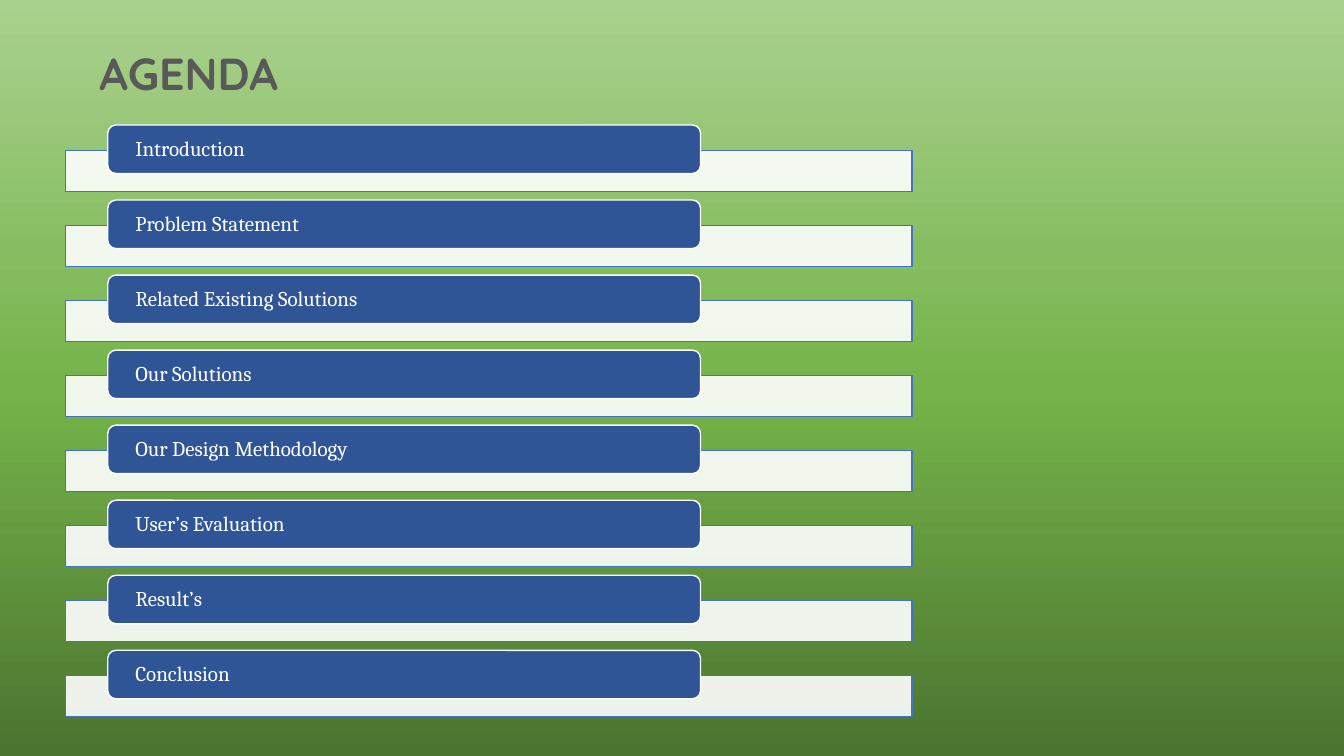
from lxml import etree
from pptx import Presentation
from pptx import util as u
from pptx.dml import color
from pptx.enum import shapes, text
from pptx.oxml import ns

Pt = u.Pt
WHITE = color.RGBColor(0xFF, 0xFF, 0xFF)
GREY = color.RGBColor(0x59, 0x59, 0x59)
NAVY = color.RGBColor(0x2F, 0x55, 0x97)
BLUE = color.RGBColor(0x44, 0x72, 0xC4)
DARK_GREEN = color.RGBColor(0x4B, 0x74, 0x30)
MID_GREEN = color.RGBColor(0x74, 0xB3, 0x49)
PALE_GREEN = color.RGBColor(0xA9, 0xD1, 0x8E)

BACKGROUND = [(0, DARK_GREEN), (48, MID_GREEN), (100, PALE_GREEN)]
TITLE_FONT = {"name": "Quicksand", "size": Pt(32), "bold": True}
ITEM_FONT = {"name": "Cambria", "size": Pt(15)}
TITLE_FRAME = {"word_wrap": True, "auto_size": text.MSO_AUTO_SIZE.SHAPE_TO_FIT_TEXT}
ITEM_FRAME = {
    "word_wrap": True,
    "vertical_anchor": text.MSO_ANCHOR.MIDDLE,
    "margin_left": Pt(18),
    "margin_right": Pt(18),
    "margin_top": 0,
    "margin_bottom": 0,
}
ITEMS = [
    "Introduction",
    "Problem Statement",
    "Related Existing Solutions",
    "Our Solutions",
    "Our Design Methodology",
    "User’s Evaluation",
    "Result’s",
    "Conclusion",
]
FIRST_TOP = 89.3
PITCH = 53.6
BAR_DROP = 18


def set_attributes(target, values):
    for name, value in values.items():
        setattr(target, name, value)


def add_color(parent, rgb):
    return etree.SubElement(parent, ns.qn("a:srgbClr"), val=str(rgb))


def set_background(s, stops):
    fill = s.background.fill
    fill.gradient()
    fill.gradient_angle = 90
    gradient = next(s.element.iter(ns.qn("a:gsLst")))
    for stop in list(gradient):
        gradient.remove(stop)
    for percent, rgb in stops:
        stop = etree.SubElement(gradient, ns.qn("a:gs"), pos=str(percent * 1000))
        add_color(stop, rgb)


def write(sp, words, frame, font, rgb, spacing):
    tf = sp.text_frame
    set_attributes(tf, frame)
    p = tf.paragraphs[0]
    set_attributes(p, {"alignment": text.PP_ALIGN.LEFT, "line_spacing": spacing})
    r = p.add_run()
    r.text = words
    set_attributes(r.font, font)
    r.font.color.rgb = rgb


def add_box(s, kind, box, fill, line):
    sp = s.shapes.add_shape(kind, *map(Pt, box))
    sp.shadow.inherit = False
    sp.fill.solid()
    sp.fill.fore_color.rgb = fill
    sp.line.color.rgb = line
    sp.line.width = Pt(1)
    return sp


def add_bar(s, top):
    sp = add_box(s, shapes.MSO_SHAPE.RECTANGLE, (46.8, top, 604.8, 29.5), WHITE, BLUE)
    rgb = next(sp.element.spPr.iter(ns.qn("a:srgbClr")))
    etree.SubElement(rgb, ns.qn("a:alpha"), val="90000")


def add_item(s, top, words):
    add_bar(s, top + BAR_DROP)
    box = (77, top, 423.4, 34.6)
    sp = add_box(s, shapes.MSO_SHAPE.ROUNDED_RECTANGLE, box, NAVY, WHITE)
    write(sp, words, ITEM_FRAME, ITEM_FONT, WHITE, 0.9)


def add_title(s, words):
    sp = s.shapes.add_textbox(Pt(64), Pt(21.6), Pt(244), Pt(49))
    write(sp, words, TITLE_FRAME, TITLE_FONT, GREY, 1.2)


def main():
    prs = Presentation()
    set_attributes(prs, {"slide_width": Pt(960), "slide_height": Pt(540)})
    s = prs.slides.add_slide(prs.slide_layouts[6])
    set_background(s, BACKGROUND)
    add_title(s, "AGENDA")
    for i, words in enumerate(ITEMS):
        add_item(s, FIRST_TOP + i * PITCH, words)
    prs.save("out.pptx")


if __name__ == "__main__":
    main()
